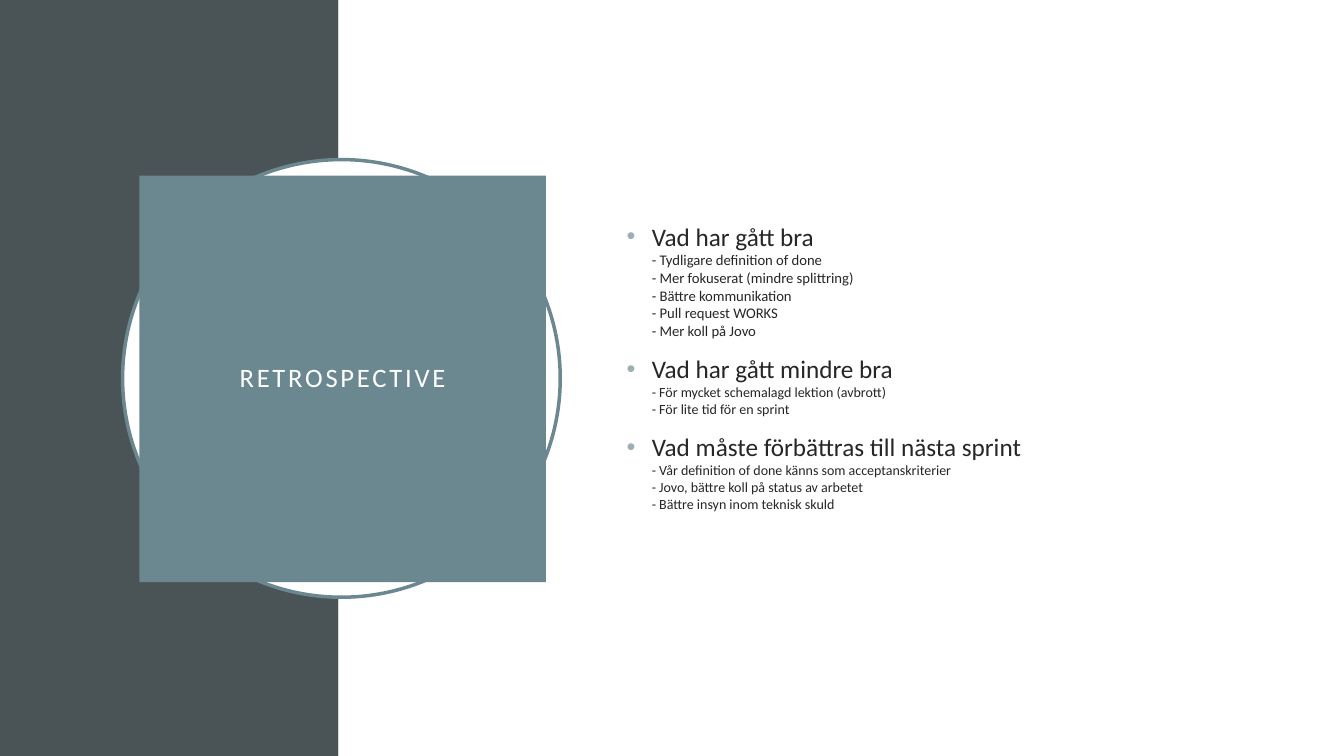
from dataclasses import dataclass

from lxml.etree import SubElement as Sub
from pptx import Presentation
from pptx.dml.color import RGBColor as Rgb
from pptx.enum.shapes import MSO_SHAPE as Geo
from pptx.enum.text import MSO_ANCHOR as Anchor, MSO_AUTO_SIZE as Fit, PP_ALIGN as Align
from pptx.oxml.ns import qn
from pptx.util import Emu, Inches, Pt


@dataclass(frozen=True)
class Theme:
    font: str = "Calibri"
    dark: str = "4A5356"
    teal: str = "6B8891"
    mist: str = "9BAFB5"
    ink: str = "262626"
    white: str = "FFFFFF"
    title: float = 19
    head: float = 18
    note: float = 10.5
    small: float = 10


COLS, ROWS = 16, 9
WIDE, HIGH = Inches(40 / 3), Inches(7.5)


def write(para, text, size, color, font, track=0):
    """Add a run of text in the given format."""
    run = para.add_run()
    run.text = text
    run.font.name, run.font.size = font, Pt(size)
    run.font.color.rgb = Rgb.from_string(color)
    if track:
        run.font._element.set("spc", str(track * 100))


class Page:
    def __init__(self, slide, theme):
        self.slide, self.theme = slide, theme

    def grid(self, x, y, w, h):
        """Turn columns and rows into lengths."""
        col, row = WIDE / COLS, HIGH / ROWS
        return [Emu(round(n)) for n in (x * col, y * row, w * col, h * row)]

    def shape(self, kind, area, fill, line=None):
        item = self.slide.shapes.add_shape(kind, *self.grid(*area))
        item.shadow.inherit = False
        item.fill.solid()
        item.fill.fore_color.rgb = Rgb.from_string(fill)
        if line:
            item.line.color.rgb = Rgb.from_string(line)
            item.line.width = Pt(2.5)
        else:
            item.line.fill.background()

    def place(self, item, area):
        """Move a placeholder to its area, in front of the shapes."""
        item.left, item.top, item.width, item.height = self.grid(*area)
        item.element.getparent().append(item.element)
        frame = item.text_frame
        frame.word_wrap, frame.auto_size = True, Fit.NONE
        frame.vertical_anchor = Anchor.MIDDLE
        return frame

    def title(self, text, area):
        t, item = self.theme, self.slide.shapes.title
        frame = self.place(item, area)
        item.fill.solid()
        item.fill.fore_color.rgb = Rgb.from_string(t.teal)
        frame.margin_left = frame.margin_right = Inches(0.2)
        frame.margin_top = frame.margin_bottom = Inches(0.2)
        para = frame.paragraphs[0]
        para.alignment, para.line_spacing = Align.CENTER, 0.9
        write(para, text, size=t.title, color=t.white, font=t.font, track=2)

    def bullet(self, para):
        props = para._p.get_or_add_pPr()
        props.set("marL", str(Inches(0.25)))
        props.set("indent", str(-Inches(0.25)))
        tint = Sub(props, qn("a:buClr"))
        Sub(tint, qn("a:srgbClr")).set("val", self.theme.mist)
        Sub(props, qn("a:buChar")).set("char", "•")

    def topics(self, topics, area):
        t = self.theme
        frame = self.place(self.slide.placeholders[1], area)
        frame.margin_bottom = Inches(0.28)
        for i, (head, size, notes) in enumerate(topics):
            para = frame.add_paragraph() if i else frame.paragraphs[0]
            self.bullet(para)
            para.space_before, para.line_spacing = Pt(10 if i else 0), 1.0
            write(para, head, size=t.head, color=t.ink, font=t.font)
            for note in notes:
                para.add_line_break()
                write(para, "- " + note, size=size, color=t.ink, font=t.font)


def main():
    deck = Presentation()
    deck.slide_width, deck.slide_height = WIDE, HIGH
    theme = Theme()
    page = Page(deck.slides.add_slide(deck.slide_layouts[1]), theme)

    # Background panels
    split = 4.03
    page.shape(Geo.RECTANGLE, (0, 0, split, ROWS), theme.dark)
    page.shape(Geo.RECTANGLE, (split, 0, COLS - split, ROWS), theme.white)

    # Ring and title block
    page.shape(Geo.OVAL, (1.46, 1.9, 5.21, 5.21), theme.white, theme.teal)
    page.title("RETROSPECTIVE", (1.66, 2.09, 4.84, 4.84))

    # Topics with their notes
    page.topics([
        ("Vad har gått bra", theme.note, [
            "Tydligare definition of done",
            "Mer fokuserat (mindre splittring)",
            "Bättre kommunikation",
            "Pull request WORKS",
            "Mer koll på Jovo"]),
        ("Vad har gått mindre bra", theme.small, [
            "För mycket schemalagd lektion (avbrott)",
            "För lite tid för en sprint"]),
        ("Vad måste förbättras till nästa sprint", theme.small, [
            "Vår definition of done känns som acceptanskriterier",
            "Jovo, bättre koll på status av arbetet",
            "Bättre insyn inom teknisk skuld"]),
    ], (7.34, 1.84, 6.98, 5.32))

    deck.save("out.pptx")


if __name__ == "__main__":
    main()
